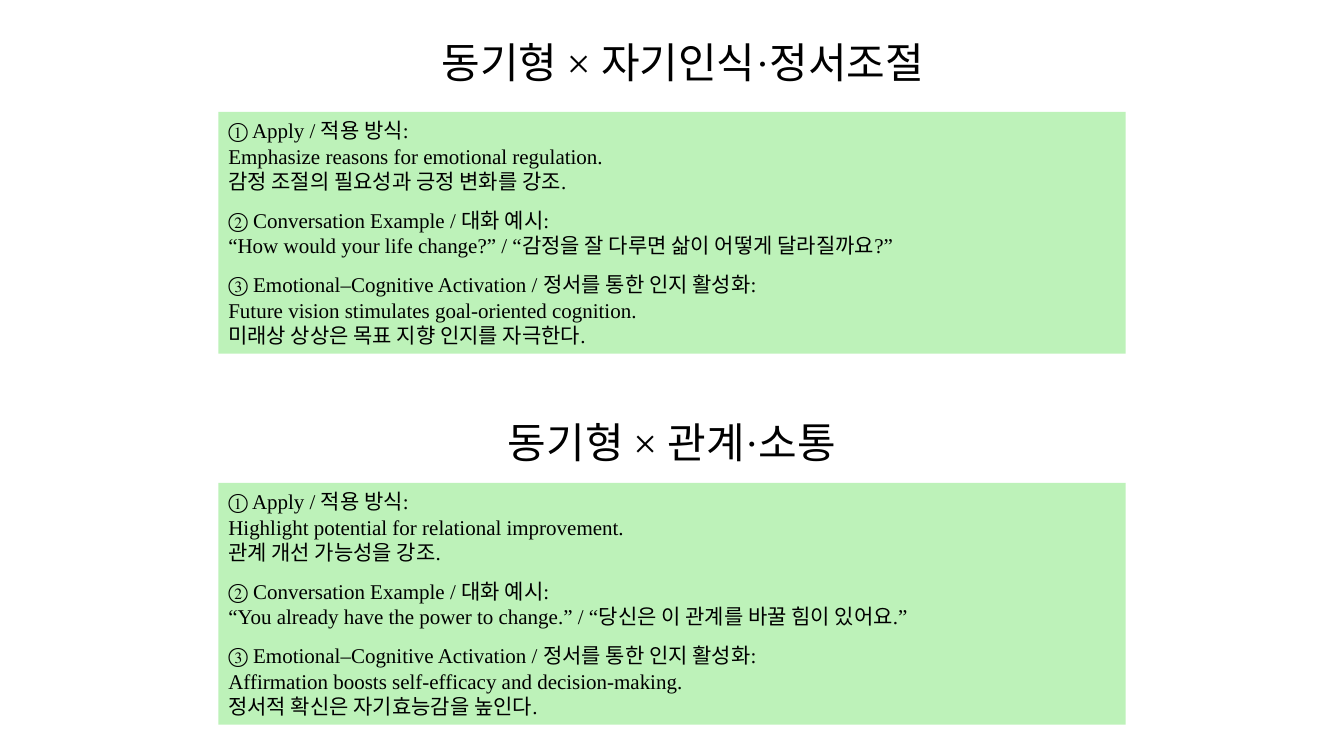
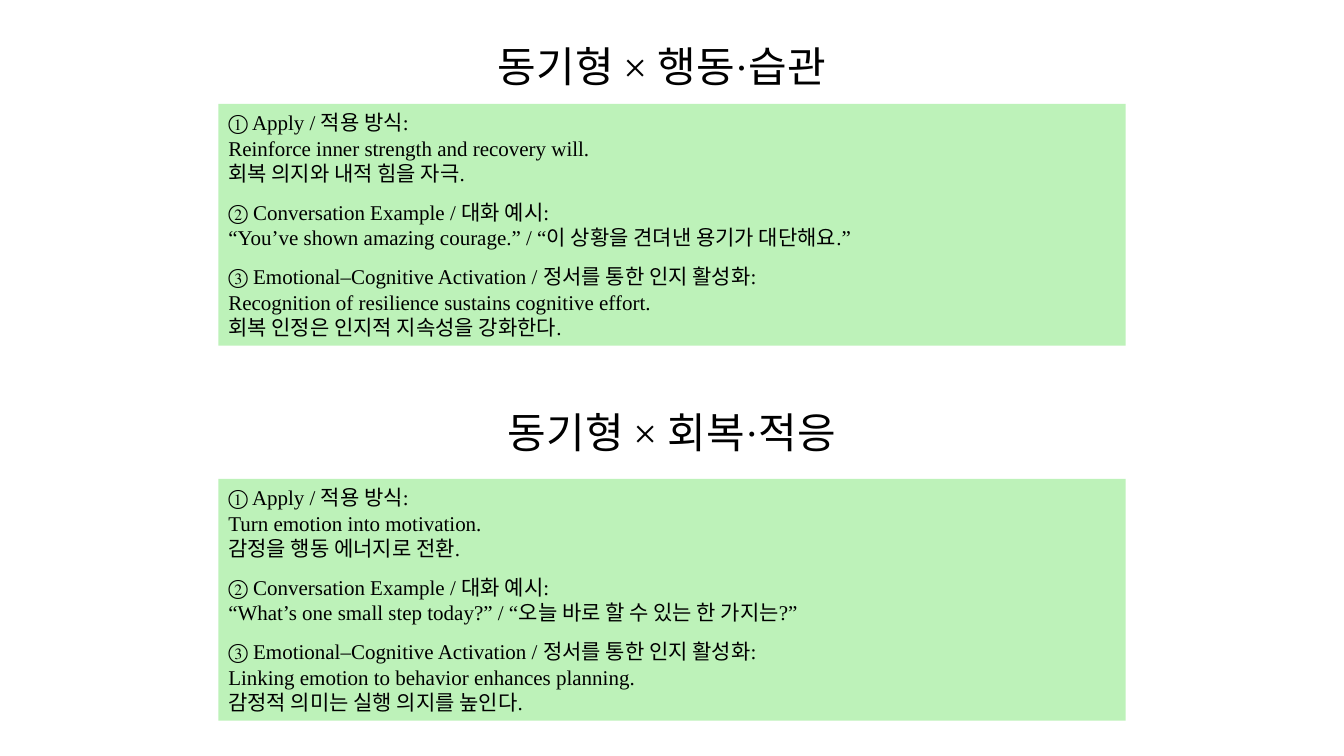
from pptx import Presentation
from pptx.dml.color import RGBColor
from pptx.enum.shapes import MSO_SHAPE
from pptx.enum.text import MSO_ANCHOR, MSO_AUTO_SIZE, PP_ALIGN
from pptx.util import Inches, Pt

RECT = MSO_SHAPE.RECTANGLE
MIDDLE = MSO_ANCHOR.MIDDLE
GROW = MSO_AUTO_SIZE.SHAPE_TO_FIT_TEXT
CENTER, LEFT = PP_ALIGN.CENTER, PP_ALIGN.LEFT

COLORS = {"text": "000000", "panel": "BDF2B9"}
FONT = "Times New Roman"
TITLE_SIZE, BODY_SIZE, BODY_GAP = 30, 15, 10

prs = Presentation()
prs.slide_width, prs.slide_height = Inches(13.33), Inches(7.5)
COL, ROW = prs.slide_width / 80, prs.slide_height / 75
PANEL_LEFT, PANEL_COLS, PANEL_ROWS = 13, 54, 24
TITLE_ROWS = 6.1

HEADINGS = [
    "① Apply / 적용 방식:",
    "② Conversation Example / 대화 예시:",
    "③ Emotional–Cognitive Activation / 정서를 통한 인지 활성화:",
]

SLIDES = [
    [
        {
            "title": "동기형 × 자기인식·정서조절",
            "title_at": (23.1, 3.1, 35.1),
            "panel_top": 11.1,
            "bodies": [
                "Emphasize reasons for emotional regulation.\n감정 조절의 필요성과 긍정 변화를 강조.",
                "“How would your life change?” / “감정을 잘 다루면 삶이 어떻게 달라질까요?”",
                "Future vision stimulates goal-oriented cognition.\n미래상 상상은 목표 지향 인지를 자극한다.",
            ],
        },
        {
            "title": "동기형 × 관계·소통",
            "title_at": (25, 40.8, 30),
            "panel_top": 47.9,
            "bodies": [
                "Highlight potential for relational improvement.\n관계 개선 가능성을 강조.",
                "“You already have the power to change.” / “당신은 이 관계를 바꿀 힘이 있어요.”",
                "Affirmation boosts self-efficacy and decision-making.\n정서적 확신은 자기효능감을 높인다.",
            ],
        },
    ],
    [
        {
            "title": "동기형 × 행동·습관",
            "title_at": (24.4, 3.5, 30),
            "panel_top": 10.3,
            "bodies": [
                "Reinforce inner strength and recovery will.\n회복 의지와 내적 힘을 자극.",
                "“You’ve shown amazing courage.” / “이 상황을 견뎌낸 용기가 대단해요.”",
                "Recognition of resilience sustains cognitive effort.\n회복 인정은 인지적 지속성을 강화한다.",
            ],
        },
        {
            "title": "동기형 × 회복·적응",
            "title_at": (25, 39.8, 30),
            "panel_top": 47.5,
            "bodies": [
                "Turn emotion into motivation.\n감정을 행동 에너지로 전환.",
                "“What’s one small step today?” / “오늘 바로 할 수 있는 한 가지는?”",
                "Linking emotion to behavior enhances planning.\n감정적 의미는 실행 의지를 높인다.",
            ],
        },
    ],
]


def grid(left, top, cols, rows):
    return [round(n) for n in (left * COL, top * ROW, cols * COL, rows * ROW)]


def write(sp, texts, size, align):
    tf = sp.text_frame
    tf.word_wrap = True
    tf.auto_size = GROW
    for i, text in enumerate(texts):
        p = tf.paragraphs[0] if i == 0 else tf.add_paragraph()
        p.text = text
        p.alignment = align
        if i < len(texts) - 1:
            p.space_after = Pt(BODY_GAP)
        p.font.name = FONT
        p.font.size = Pt(size)
        p.font.color.rgb = RGBColor.from_string(COLORS["text"])


for sections in SLIDES:
    s = prs.slides.add_slide(prs.slide_layouts[6])
    for section in sections:
        left, top, cols = section["title_at"]
        title = s.shapes.add_textbox(*grid(left, top, cols, TITLE_ROWS))
        write(title, [section["title"]], TITLE_SIZE, CENTER)

        panel = s.shapes.add_shape(
            RECT, *grid(PANEL_LEFT, section["panel_top"], PANEL_COLS, PANEL_ROWS))
        panel.shadow.inherit = False
        panel.fill.solid()
        panel.fill.fore_color.rgb = RGBColor.from_string(COLORS["panel"])
        panel.line.fill.background()
        panel.text_frame.vertical_anchor = MIDDLE
        texts = [f"{head}\n{body}" for head, body in zip(HEADINGS, section["bodies"])]
        write(panel, texts, BODY_SIZE, LEFT)

prs.save("out.pptx")
